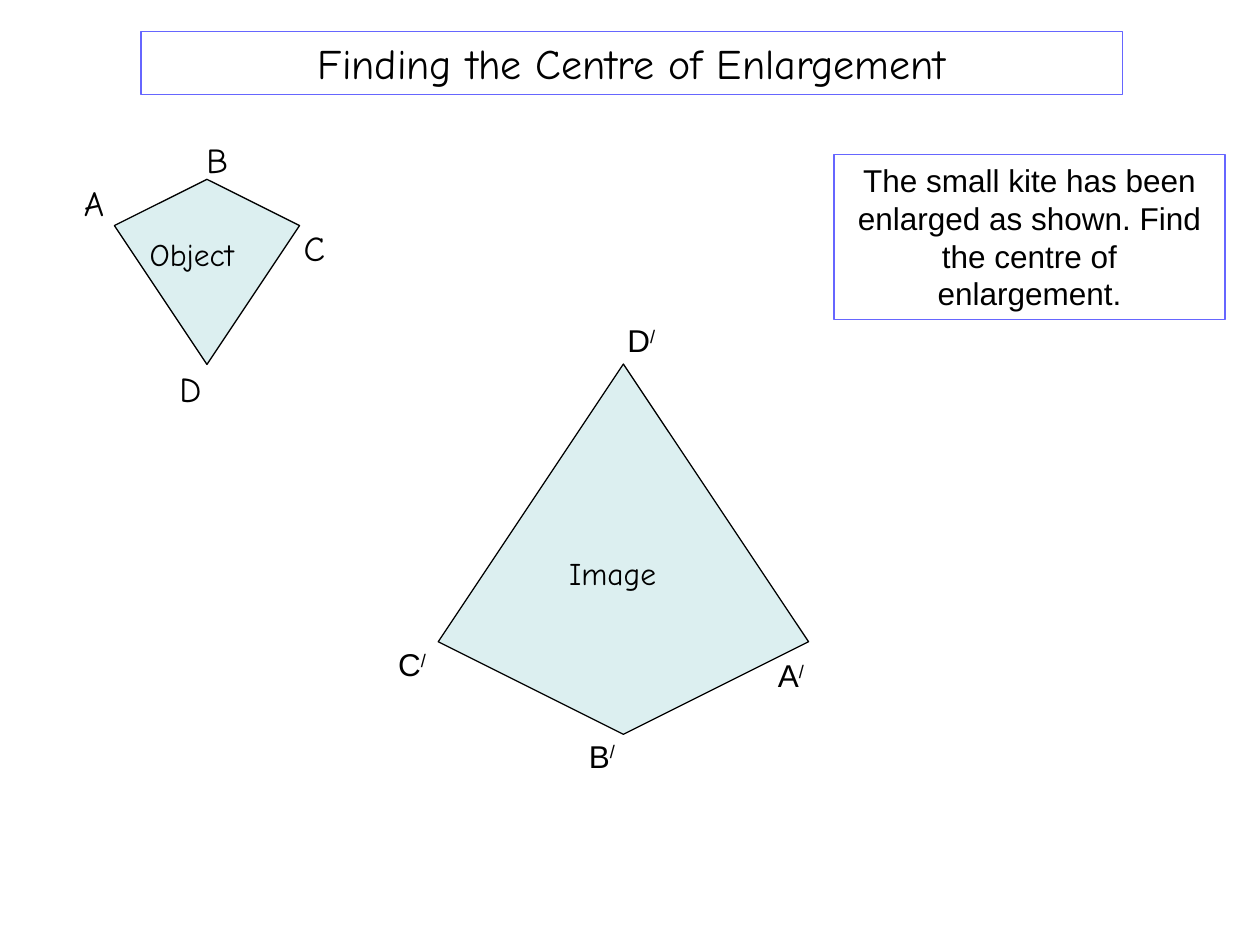
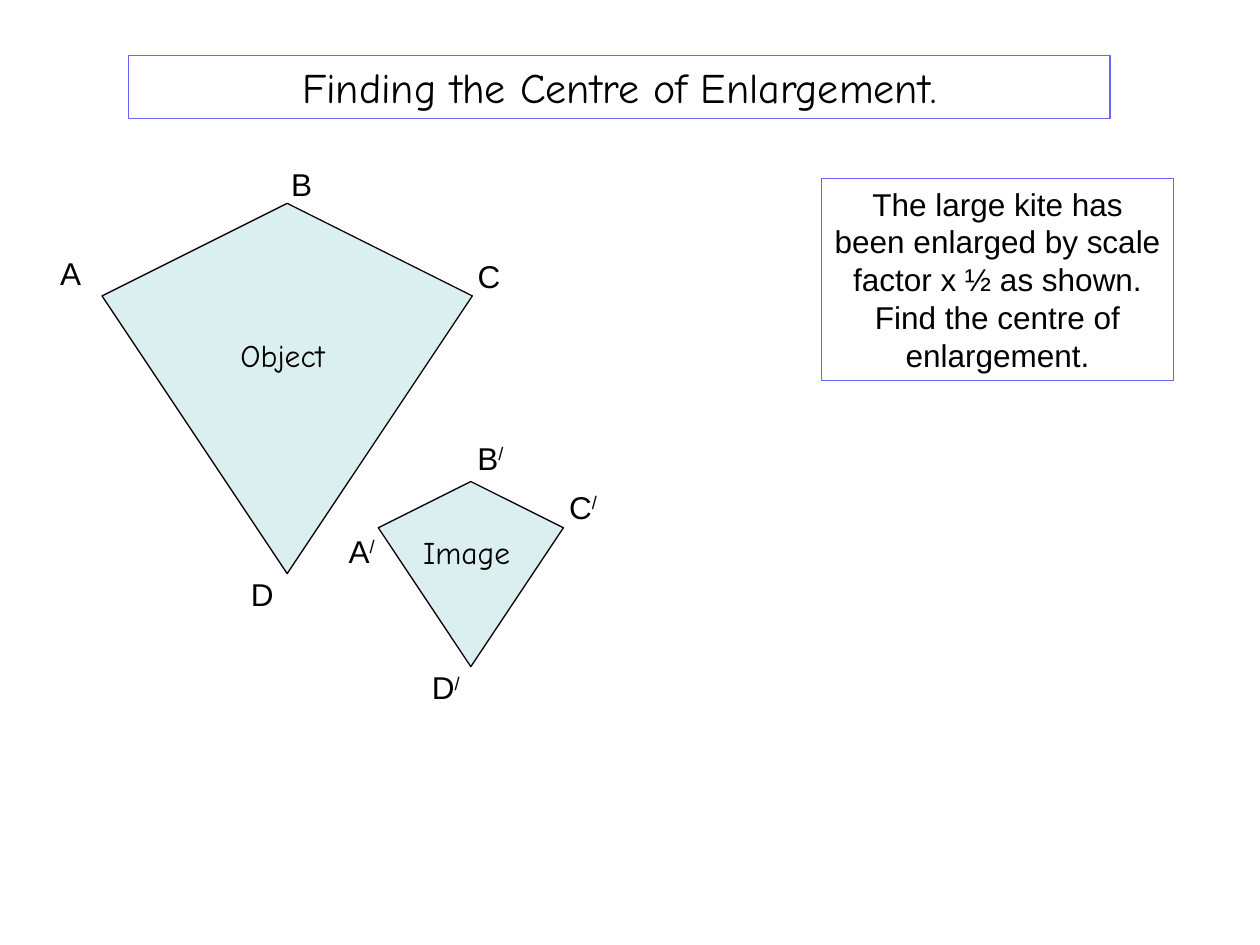
from lxml.etree import SubElement
from pptx import Presentation
from pptx.dml.color import RGBColor as Rgb
from pptx.enum.text import MSO_ANCHOR as Anchor, MSO_AUTO_SIZE as Auto, PP_ALIGN as Align
from pptx.oxml.ns import qn
from pptx.util import Pt

HUES = {"ink": "000000", "kite": "BBE0E3", "frame": "6666FF"}
SANS, HAND = "Arial", "Comic Neue"
# Corners of a kite as fractions of its box
KITE = [(0.5, 0), (0, 0.25), (0.5, 1), (1, 0.25)]


def hue(name):
    return Rgb.from_string(HUES[name])


def edge(shape, name):
    shape.line.color.rgb = hue(name)
    shape.line.width = Pt(0.75)


def write(shape, text, size, face, align=Align.LEFT):
    """Fill a frame with one paragraph; a final slash is raised as a prime."""
    frame = shape.text_frame
    frame.word_wrap = True
    frame.auto_size = Auto.NONE
    frame.vertical_anchor = Anchor.TOP
    para = frame.paragraphs[0]
    para.alignment = align
    para.font.size, para.font.name = Pt(size), face
    para.font.color.rgb = hue("ink")
    para.add_run().text = text.rstrip("/")
    if text.endswith("/"):
        prime = para.add_run()
        prime.text = "/"
        prime.font._element.set("baseline", "30000")


def add_title(slide, box, text):
    title = slide.shapes.title
    title.left, title.top, title.width, title.height = map(Pt, box)
    edge(title, "frame")
    write(title, text, 24, HAND, Align.CENTER)


def add_note(slide, box, text):
    note = slide.shapes.add_textbox(*map(Pt, box))
    edge(note, "frame")
    write(note, text, 18, SANS, Align.CENTER)


def add_kite(slide, box, name, spot, tags, turned=False, size=18, face=SANS):
    """Draw a kite in its box; name and corner tags are offset from the box."""
    left, top, side = box
    # Outline, given a half turn where needed
    ends = [(1 - x, 1 - y) if turned else (x, y) for x, y in KITE]
    dots = [(Pt(left + x * side), Pt(top + y * side)) for x, y in ends]
    pen = slide.shapes.build_freeform(*dots[0])
    pen.add_line_segments(dots[1:], close=True)
    kite = pen.convert_to_shape()
    kite.shadow.inherit = False
    kite.fill.solid()
    kite.fill.fore_color.rgb = hue("kite")
    tint = kite._element.spPr.find(qn("a:solidFill"))[0]
    SubElement(tint, qn("a:alpha")).set("val", "50000")
    edge(kite, "ink")

    # Corner letters and the name inside
    wide, high = (36, 29) if size == 18 else (29, 32)
    for text, (x, y) in tags.items():
        tag = slide.shapes.add_textbox(Pt(left + x), Pt(top + y), Pt(wide), Pt(high))
        write(tag, text, size, face)
    x, y = spot
    label = slide.shapes.add_textbox(Pt(left + x), Pt(top + y), Pt(80), Pt(29))
    write(label, name, 18, HAND)


def add_page(deck, title, shift):
    """Add a slide with its title; shift moves the title box."""
    slide = deck.slides.add_slide(deck.slide_layouts[5])
    add_title(slide, (*shift, 561, 36), title)
    return slide


def main():
    deck = Presentation()
    deck.slide_width, deck.slide_height = Pt(720), Pt(540)

    # Small kite enlarged and turned
    page = add_page(deck, "Finding the Centre of Enlargement", (80.6, 18))
    add_kite(page, (250.4, 208, 211.6), "Image", (67.7, 105),
             {"B/": (79, 209.5), "A/": (187, 163.5), "D/": (101, -28), "C/": (-30, 157)},
             turned=True)
    add_kite(page, (65.4, 102.5, 105.8), "Object", (13, 28),
             {"D": (30, 104), "A": (-24.5, -2.5), "B": (45.5, -27), "C": (101, 23.5)},
             size=20, face=HAND)
    add_note(page, (476.5, 88.5, 223.5, 94),
             "The small kite has been enlarged as shown. Find the centre of enlargement.")

    # Large kite halved
    page = add_page(deck, "Finding the Centre of Enlargement.", (73.4, 31.7))
    add_kite(page, (58.3, 116.2, 211.6), "Object", (72, 72.5),
             {"B": (101, -25.5), "A": (-31, 25.5), "D": (78, 209), "C": (207.5, 27)})
    add_kite(page, (216.2, 275.2, 105.8), "Image", (18.5, 26),
             {"A/": (-24, 25), "B/": (49.5, -28), "D/": (23.5, 103), "C/": (102, 0)})
    add_note(page, (469.5, 102, 201, 115.5),
             "The large kite has been enlarged by scale factor x ½ as shown. "
             "Find the centre of enlargement.")

    deck.save("out.pptx")


if __name__ == "__main__":
    main()
